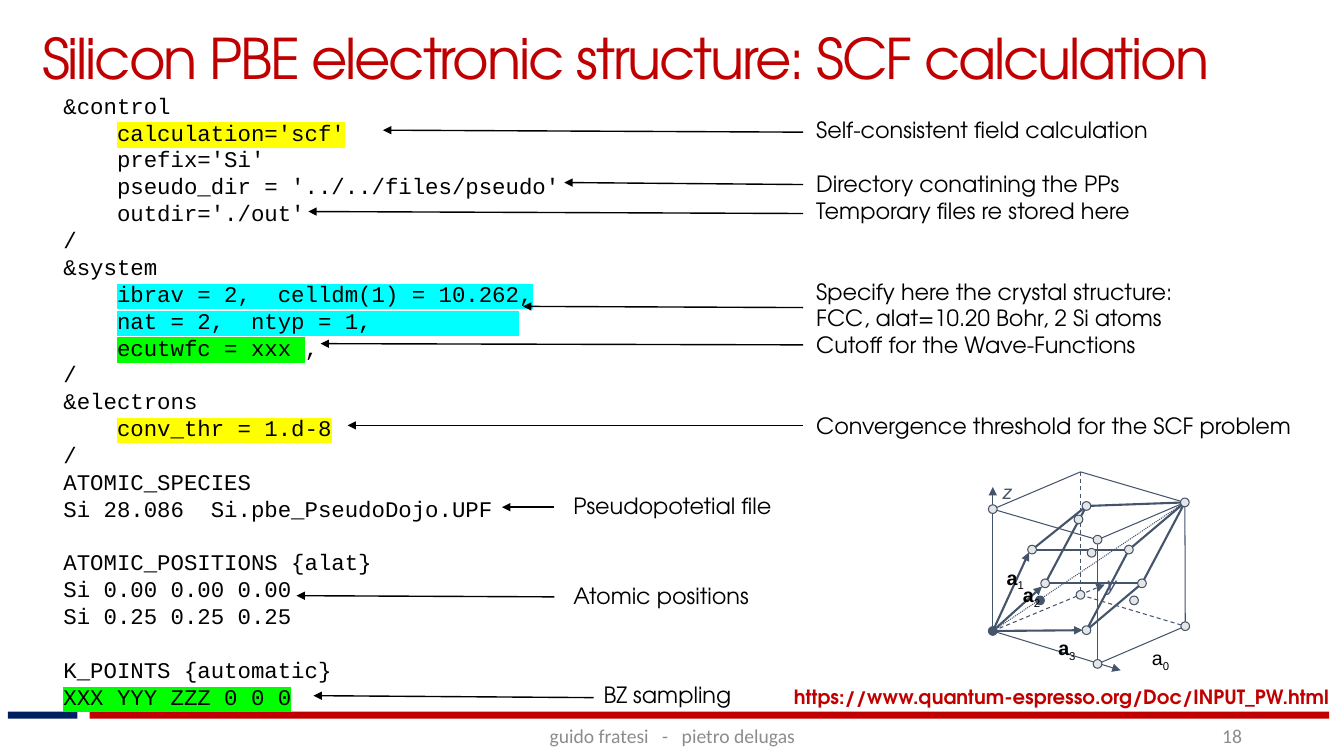
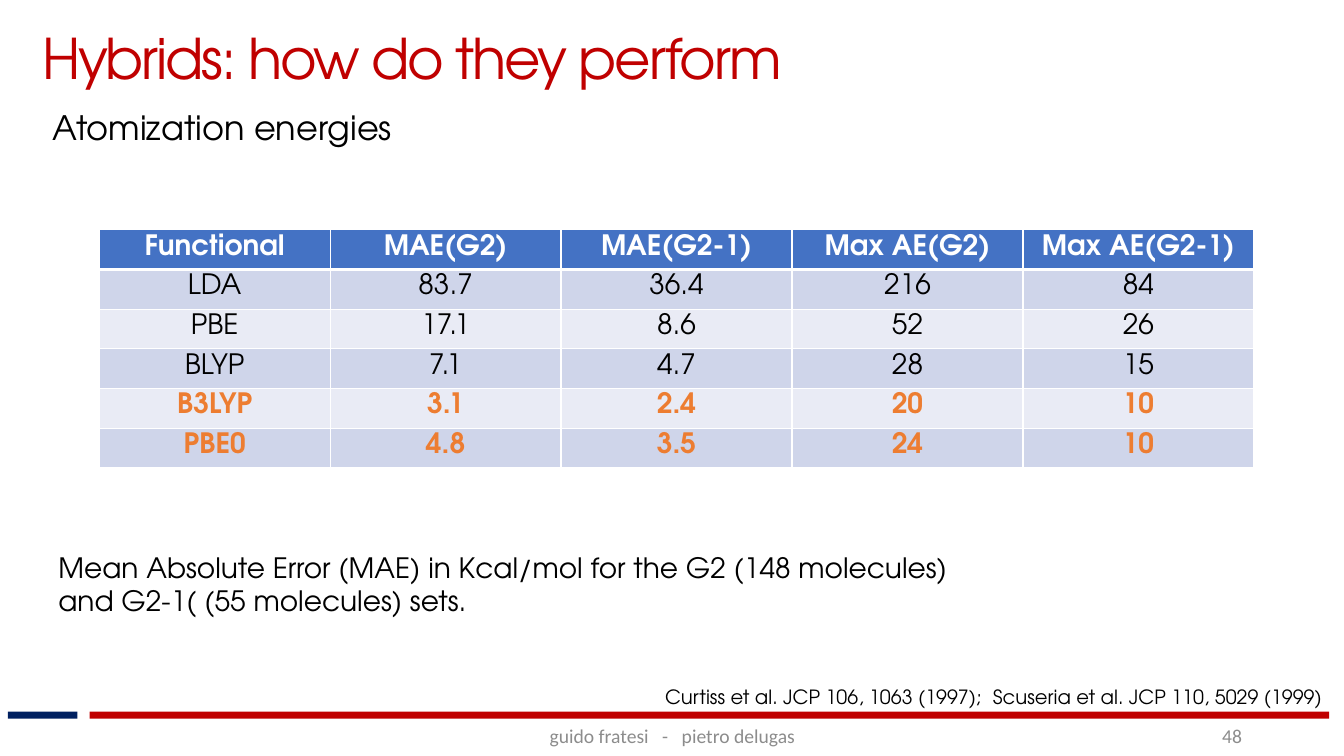
from lxml import etree
from pptx import Presentation
from pptx.dml.color import RGBColor
from pptx.enum.dml import MSO_LINE
from pptx.enum.shapes import MSO_CONNECTOR, MSO_SHAPE
from pptx.enum.text import MSO_ANCHOR, PP_ALIGN
from pptx.oxml.ns import qn
from pptx.util import Cm, Pt

RECTANGLE, OVAL, STRAIGHT = MSO_SHAPE.RECTANGLE, MSO_SHAPE.OVAL, MSO_CONNECTOR.STRAIGHT
LEFT, CENTER, RIGHT = PP_ALIGN.LEFT, PP_ALIGN.CENTER, PP_ALIGN.RIGHT
TOP, MIDDLE = MSO_ANCHOR.TOP, MSO_ANCHOR.MIDDLE
SOLID, DASH, DOT = MSO_LINE.SOLID, MSO_LINE.DASH, MSO_LINE.ROUND_DOT

BLACK = RGBColor(0x00, 0x00, 0x00)
WHITE = RGBColor(0xFF, 0xFF, 0xFF)
NAVY = RGBColor(0x00, 0x20, 0x60)
RED = RGBColor(0xC0, 0x00, 0x00)
GREY = RGBColor(0x8C, 0x8C, 0x8C)
SLATE = RGBColor(0x44, 0x54, 0x6A)
PALE = RGBColor(0xE7, 0xE6, 0xE6)
BLUE = RGBColor(0x44, 0x72, 0xC4)
BAND_DARK = RGBColor(0xCF, 0xD5, 0xEA)
BAND_LIGHT = RGBColor(0xE9, 0xEB, 0xF5)
ORANGE = RGBColor(0xED, 0x7D, 0x31)
YELLOW = RGBColor(0xFF, 0xFF, 0x00)
CYAN = RGBColor(0x00, 0xFF, 0xFF)
GREEN = RGBColor(0x00, 0xFF, 0x00)

# Text formats
BODY = {"name": "TeX Gyre Adventor", "size": Pt(16), "color": BLACK}
TITLE = {**BODY, "size": Pt(40), "color": RED, "spacing": -150}
FOOTER = {"name": "Calibri", "size": Pt(14), "color": GREY}
CODE = {**BODY, "name": "Courier New"}
SMALL = {**BODY, "size": Pt(14)}
URL = {**SMALL, "color": RED, "bold": True}
LABEL = {"name": "Arial", "size": Pt(14), "color": BLACK}
AXIS = {**LABEL, "color": SLATE, "italic": True}
LINE_PITCH = 19.2


def write_text(frame, paragraphs, style, align=LEFT, pitch=None):
    """Each paragraph is a string or (blank lines before, [(text, format changes)])."""
    for index, item in enumerate(paragraphs):
        gap, runs = (0, [(item, {})]) if isinstance(item, str) else item
        paragraph = frame.paragraphs[0] if index == 0 else frame.add_paragraph()
        paragraph.alignment = align
        if gap:
            paragraph.space_before = Pt(gap * LINE_PITCH)
        if pitch:
            paragraph.line_spacing = Pt(pitch)
        for text, changes in runs:
            run = paragraph.add_run()
            run.text = text
            values = {**style, **changes}
            run.font.color.rgb = values.pop("color")
            properties = run.font.fill._xPr
            for key, attribute in (("spacing", "spc"), ("baseline", "baseline")):
                if key in values:
                    properties.set(attribute, str(values.pop(key)))
            if "highlight" in values:
                highlight = etree.SubElement(properties, qn("a:highlight"))
                etree.SubElement(highlight, qn("a:srgbClr"), val=str(values.pop("highlight")))
            for name, value in values.items():
                setattr(run.font, name, value)


def add_line(shapes, start, end, color, width, arrow=False, dash=SOLID):
    line = shapes.add_connector(STRAIGHT, *(Cm(value) for value in (*start, *end)))
    line.line.color.rgb = color
    line.line.width = Pt(width)
    line.line.dash_style = dash
    if arrow:
        etree.SubElement(line.line._get_or_add_ln(), qn("a:tailEnd"), type="triangle")
    etree.SubElement(line._element.spPr, qn("a:effectLst"))


presentation = Presentation()
presentation.slide_width, presentation.slide_height = Cm(33.87), Cm(19.05)

# Shared bands, footer and title; page texts are collected per slide
CREDIT = (0, [("guido fratesi", {}), (" -", {"spacing": 640}), (" pietro delugas", {})])
PAGES = [("Silicon PBE electronic structure: SCF calculation", "18"),
         ("Hybrids: how do they perform", "48")]
slides = []
texts = []  # slide, box, paragraphs, format, alignment, anchor, line pitch
for title, number in PAGES:
    slide = presentation.slides.add_slide(presentation.slide_layouts[6])
    slides.append(slide)
    for left, width, color in ((0.2, 1.75, NAVY), (2.26, 31.24, RED)):
        band = slide.shapes.add_shape(RECTANGLE, Cm(left), Cm(17.93), Cm(width), Cm(0.18))
        band.shadow.inherit = False
        band.fill.solid()
        band.fill.fore_color.rgb = color
        band.line.fill.background()
    texts += [
        (slide, (11.23, 18.03, 11.43, 1.02), [CREDIT], FOOTER, CENTER, MIDDLE, None),
        (slide, (23.93, 18.03, 7.62, 1.02), [number], FOOTER, RIGHT, MIDDLE, None),
        (slide, (1.06, 0.05, 32.69, 2.79), [title], TITLE, LEFT, MIDDLE, None),
    ]
scf_slide, hybrids_slide = slides

# Input file: (blank lines before, [plain, highlighted and plain parts])
INDENT = "    "
code = [
    "&control",
    (0, [(INDENT, {}), ("calculation='scf'", {"highlight": YELLOW})]),
    INDENT + "prefix='Si'",
    INDENT + "pseudo_dir = '../../files/pseudo'",
    INDENT + "outdir='./out'",
    "/",
    "&system",
    (0, [(INDENT, {}), ("ibrav = 2,  celldm(1) = 10.262,", {"highlight": CYAN})]),
    (0, [(INDENT, {}), ("nat = 2,  ntyp = 1,".ljust(30), {"highlight": CYAN})]),
    (0, [(INDENT, {}), ("ecutwfc = xxx ", {"highlight": GREEN}), (",", {})]),
    "/",
    "&electrons",
    (0, [(INDENT, {}), ("conv_thr = 1.d-8", {"highlight": YELLOW})]),
    "/",
    "ATOMIC_SPECIES",
    "Si 28.086  Si.pbe_PseudoDojo.UPF",
    (1, [("ATOMIC_POSITIONS {alat}", {})]),
    "Si 0.00 0.00 0.00",
    "Si 0.25 0.25 0.25",
    (1, [("K_POINTS {automatic}", {})]),
    (0, [("XXX YYY ZZZ 0 0 0", {"highlight": GREEN})]),
]
notes = [
    "Self-consistent field calculation",
    (1, [("Directory conatining the PPs", {})]),
    "Temporary files re stored here",
    (2, [("Specify here the crystal structure:", {})]),
    "FCC, alat=10.20 Bohr, 2 Si atoms",
    "Cutoff for the Wave-Functions",
    (2, [("Convergence threshold for the SCF problem", {})]),
]
texts += [
    (scf_slide, (1.35, 2.19, 14.3, 16.51), code, CODE, LEFT, TOP, LINE_PITCH),
    (scf_slide, (20.32, 2.81, 13.5, 8.4), notes, BODY, LEFT, TOP, None),
    (scf_slide, (19.76, 17.13, 14.1, 0.86),
     ["https://www.quantum-espresso.org/Doc/INPUT_PW.html"], URL, LEFT, TOP, None),
]
for left, top, caption in ((14.96, 17.04, "BZ sampling"),
                           (14.2, 12.27, "Pseudopotetial file"),
                           (14.2, 14.54, "Atomic positions")):
    texts.append((scf_slide, (left, top, 5.6, 0.94), [caption], BODY, LEFT, TOP, None))

# Text on the second slide
citation = (0, [("Curtiss et al. JCP 106, 1063 (1997);", {}), (" ", {"spacing": 400}),
                ("Scuseria et al. JCP 110, 5029 (1999)", {})])
texts += [
    (hybrids_slide, (1.07, 2.57, 9.22, 1.27), ["Atomization energies"],
     {**BODY, "size": Pt(24)}, LEFT, TOP, None),
    (hybrids_slide, (1.22, 13.74, 28.3, 1.96),
     ["Mean Absolute Error (MAE) in Kcal/mol for the G2 (148 molecules)",
      "and G2-1( (55 molecules) sets."], {**BODY, "size": Pt(20)}, LEFT, TOP, None),
    (hybrids_slide, (16.51, 17.13, 17.35, 0.86), [citation], SMALL, LEFT, TOP, None),
]
for slide, box, paragraphs, style, align, anchor, pitch in texts:
    frame = slide.shapes.add_textbox(*(Cm(value) for value in box)).text_frame
    frame.word_wrap = True
    frame.vertical_anchor = anchor
    if style is TITLE:
        frame.margin_left = frame.margin_top = frame.margin_bottom = 0
        frame.margin_right = Cm(0.05)
    write_text(frame, paragraphs, style, align, pitch)

# Arrows from the notes to the input lines
NOTE_EDGE = 20.24
for start, end in (
    ((NOTE_EDGE, 3.33), (9.65, 3.28)),
    ((NOTE_EDGE, 4.65), (14.22, 4.6)),
    ((NOTE_EDGE, 5.38), (7.77, 5.33)),
    ((NOTE_EDGE, 7.75), (13.18, 7.72)),
    ((NOTE_EDGE, 8.69), (8.08, 8.66)),
    ((NOTE_EDGE, 10.72), (8.76, 10.72)),
    ((13.97, 12.78), (12.65, 12.78)),
    ((13.97, 15.04), (7.47, 15.01)),
    ((14.96, 17.58), (7.9, 17.53)),
):
    add_line(scf_slide.shapes, start, end, BLACK, 1, arrow=True)

# FCC lattice: cube corners, face centres and further atoms
atoms = {
    "origin": (25.02, 15.9), "x": (27.66, 16.73), "y": (27.23, 14.99), "xy": (29.87, 15.78),
    "z": (25.02, 12.83), "xz": (27.66, 13.6), "yz": (27.23, 11.89), "xyz": (29.86, 12.66),
    "bottom": (27.38, 15.88), "top": (27.38, 12.75), "front": (26.34, 14.7),
    "right": (28.78, 14.7), "left": (26.01, 13.85), "back": (28.45, 13.85),
    "upper": (27.18, 13.09), "middle": (27.51, 13.93),
    "lower right": (28.58, 15.13), "lower left": (26.21, 15.13),
}
tips = {
    "x axis": (28.24, 16.89), "y axis": (27.84, 14.73), "z axis": (25.02, 12.27),
    "a1": (25.93, 13.92), "a2": (26.26, 14.78), "a3": (27.28, 15.88),
}
lattice = scf_slide.shapes.add_group_shape().shapes
for width, dash, edges in (
    (0.75, SOLID, "z-yz x-xy yz-xyz xz-x z-xz xz-xyz xyz-xy"),
    (0.75, DASH, "yz-y y-xy"),
    (0.75, DOT, "origin-xyz"),
    (1.5, SOLID, "top-xyz bottom-right right-xyz front-right front-top "
                 "back-xyz left-back bottom-back left-top"),
):
    for edge in edges.split():
        start, end = edge.split("-")
        add_line(lattice, atoms[start], atoms[end], SLATE, width, dash=dash)
for name, tip in tips.items():
    add_line(lattice, atoms["origin"], tip, SLATE, 0.75 if "axis" in name else 1.5,
             arrow=True, dash=DASH if name == "y axis" else SOLID)

ATOM_SIZE = 0.22
for name, (x, y) in atoms.items():
    if name == "yz":
        continue
    atom = lattice.add_shape(OVAL, Cm(x - ATOM_SIZE / 2), Cm(y - ATOM_SIZE / 2),
                             Cm(ATOM_SIZE), Cm(ATOM_SIZE))
    atom.shadow.inherit = False
    atom.fill.solid()
    atom.fill.fore_color.rgb = SLATE if name in ("origin", "lower left") else PALE
    atom.line.color.rgb = SLATE
    atom.line.width = Pt(0.75)

for left, top, letter, subscript, style in (
    (25.12, 14.0, "a", "1", {**LABEL, "bold": True}),
    (25.53, 14.43, "a", "2", {**LABEL, "bold": True}),
    (26.42, 15.77, "a", "3", {**LABEL, "bold": True}),
    (28.78, 16.03, "a", "0", LABEL),
    (27.64, 14.17, "y", "", AXIS),
    (25.02, 11.84, "z", "", AXIS),
):
    frame = lattice.add_textbox(Cm(left), Cm(top), Cm(1.3), Cm(0.69)).text_frame
    frame.word_wrap = True
    frame.margin_top = frame.margin_bottom = Cm(0.25)
    runs = [(letter, {})]
    if subscript:
        runs.append((subscript, {"bold": False, "baseline": -25000}))
    write_text(frame, [(0, runs)], style)

# Table of atomization energy errors
rows = [
    ("Functional", "MAE(G2)", "MAE(G2-1)", "Max AE(G2)", "Max AE(G2-1)"),
    ("LDA", "83.7", "36.4", "216", "84"),
    ("PBE", "17.1", "8.6", "52", "26"),
    ("BLYP", "7.1", "4.7", "28", "15"),
    ("B3LYP", "3.1", "2.4", "20", "10"),
    ("PBE0", "4.8", "3.5", "24", "10"),
]
ROW_HEIGHT, COLUMN_WIDTH = 1, 5.82
table = hybrids_slide.shapes.add_table(
    len(rows), len(rows[0]), Cm(2.5), Cm(5.79),
    Cm(COLUMN_WIDTH * len(rows[0])), Cm(ROW_HEIGHT * len(rows))).table
table.first_row = table.horz_banding = False
for column in table.columns:
    column.width = Cm(COLUMN_WIDTH)
for row_index, row in enumerate(rows):
    table.rows[row_index].height = Cm(ROW_HEIGHT)
    header, hybrid = row_index == 0, row_index >= 4
    style = {**BODY, "size": Pt(20), "bold": header or hybrid,
             "color": WHITE if header else ORANGE if hybrid else BLACK}
    fill = BLUE if header else BAND_DARK if row_index % 2 else BAND_LIGHT
    for column_index, value in enumerate(row):
        cell = table.cell(row_index, column_index)
        cell.margin_top, cell.margin_bottom = Cm(0.12), 0
        for side in "LRTB":
            thick = (row_index, side) in ((0, "B"), (1, "T"))
            border = etree.SubElement(cell._tc.get_or_add_tcPr(), qn("a:ln" + side),
                                      w=str(Pt(3 if thick else 1)))
            paint = etree.SubElement(border, qn("a:solidFill"))
            etree.SubElement(paint, qn("a:srgbClr"), val=str(WHITE))
        cell.fill.solid()
        cell.fill.fore_color.rgb = fill
        write_text(cell.text_frame, [value], style, CENTER)

presentation.save("out.pptx")
